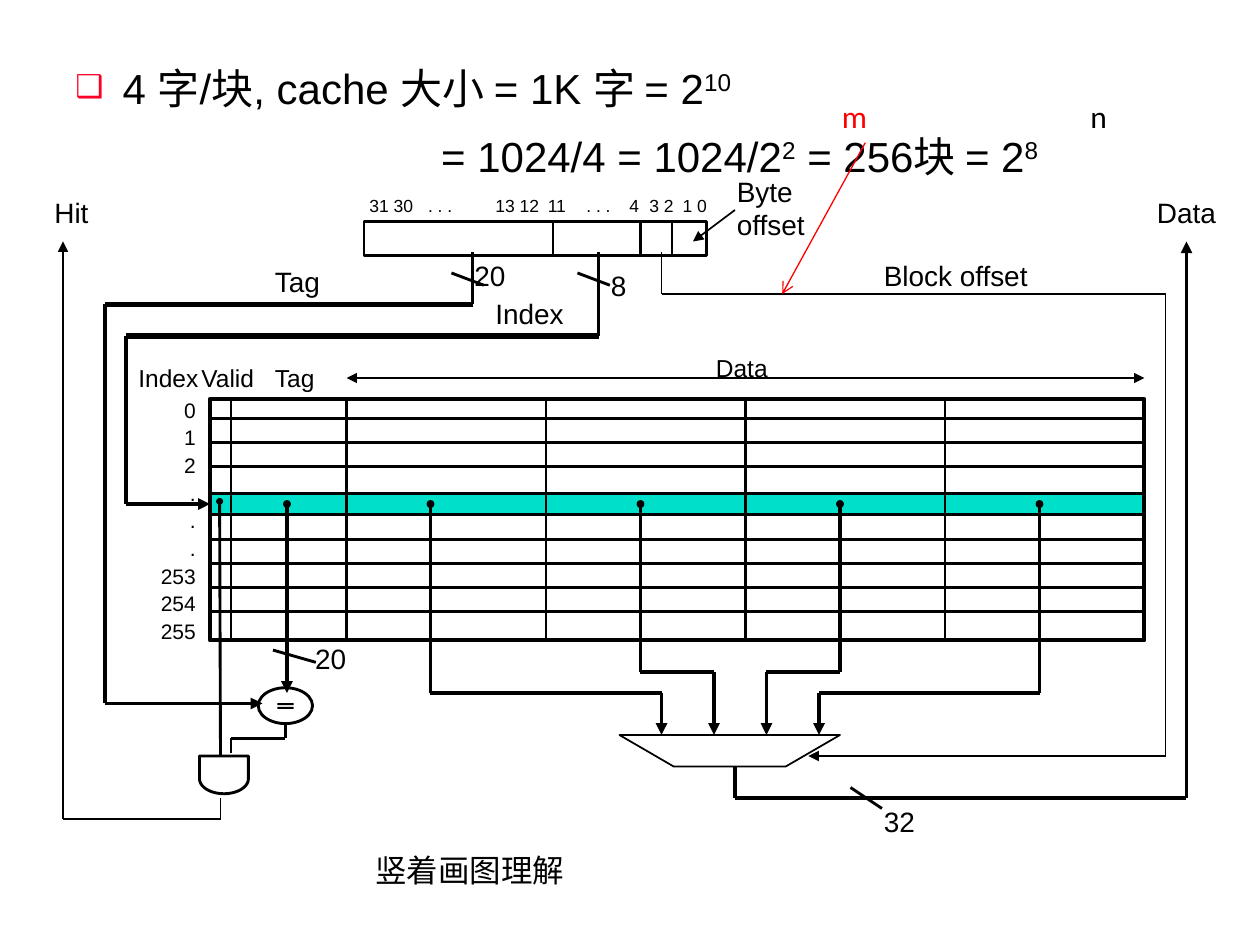
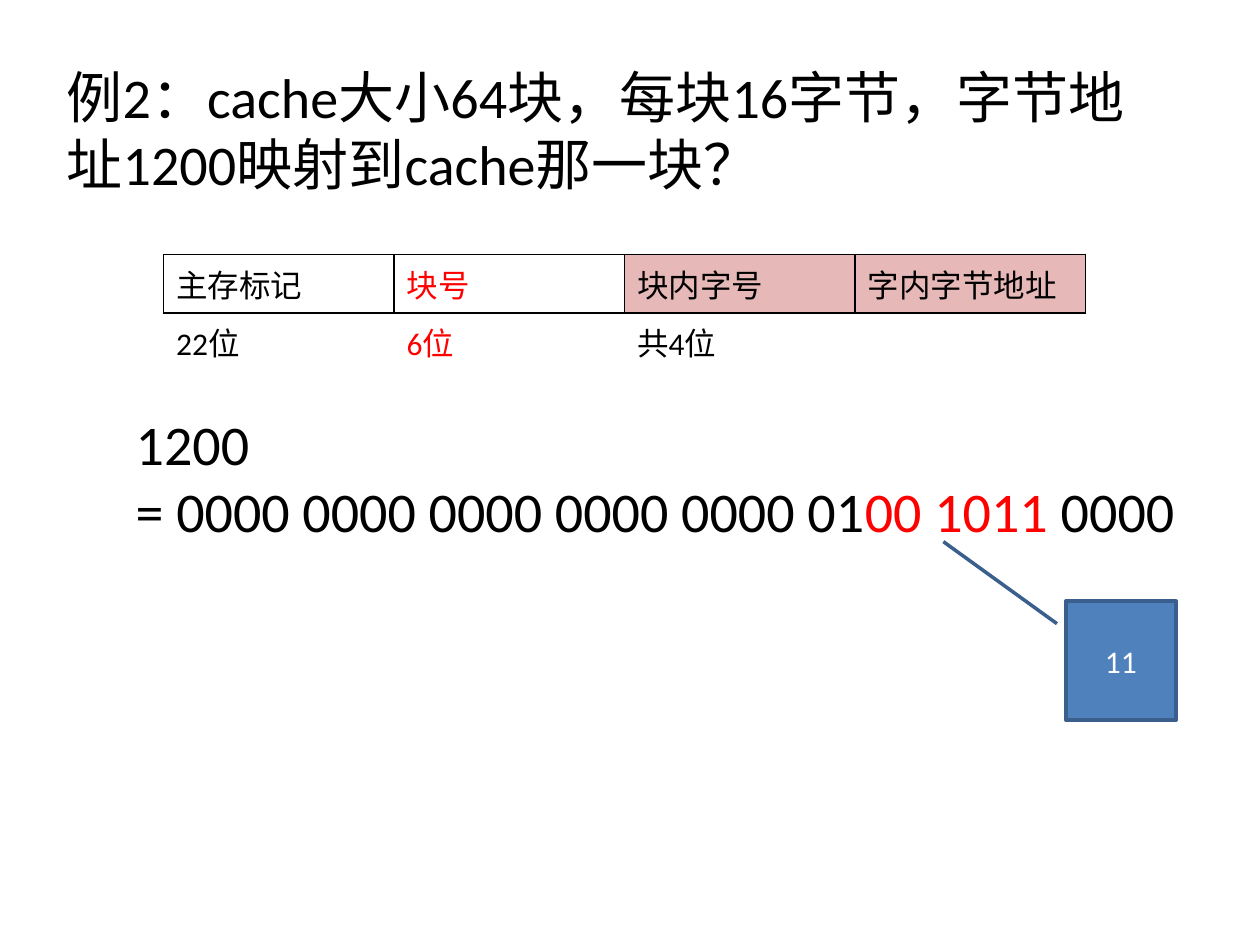
"""Build two slides on direct-mapped caches: lookup hardware and an address example."""
import math
from dataclasses import dataclass

from lxml import etree
from pptx import Presentation
from pptx import util as u
from pptx.dml.color import RGBColor
from pptx.enum import shapes, text
from pptx.oxml.ns import qn


@dataclass(frozen=True)
class Theme:
    ink: str = "000000"
    red: str = "FF0000"
    bullet: str = "FC0128"
    selected: str = "00DFCA"
    pink: str = "E6B9B8"
    blue: str = "4F81BD"
    navy: str = "3A5F8C"
    white: str = "FFFFFF"
    diagram_font: str = "Arial"
    body_font: str = "Calibri"
    headline: int = 32
    formula: int = 24
    body: int = 18
    label: int = 16
    column: int = 14
    row: int = 12
    bits: int = 10
    hair: float = 0.75
    thin: float = 1
    grid: float = 1.63
    bus: float = 2.25
    thick: float = 3


theme = Theme()


def write(slide, box, lines, size, font=theme.diagram_font, wrap=True):
    frame = slide.shapes.add_textbox(*map(u.Pt, box)).text_frame
    frame.word_wrap = wrap
    frame.auto_size = text.MSO_AUTO_SIZE.SHAPE_TO_FIT_TEXT
    for number, pieces in enumerate(lines):
        paragraph = frame.add_paragraph() if number else frame.paragraphs[0]
        for words, color, *raised in pieces:
            run = paragraph.add_run()
            run.text = words
            run.font.size = u.Pt(size)
            run.font.name = font
            run.font.color.rgb = RGBColor.from_string(color)
            if raised:
                run.font._element.set("baseline", "30000")
    return frame


def wire(slide, points, width, head=None, tail=None, color=theme.ink):
    last = len(points) - 2
    for number, (start, end) in enumerate(zip(points, points[1:])):
        segment = slide.shapes.add_connector(
            shapes.MSO_CONNECTOR.STRAIGHT, *map(u.Pt, (*start, *end)))
        segment.line.width = u.Pt(width)
        segment.line.color.rgb = RGBColor.from_string(color)
        etree.SubElement(segment._element.spPr, qn("a:effectLst"))
        stroke = segment.line._get_or_add_ln()
        if head and number == 0:
            extent = "sm" if head == "oval" else "med"
            etree.SubElement(stroke, qn("a:headEnd"), type=head, w=extent, len=extent)
        if tail and number == last:
            etree.SubElement(stroke, qn("a:tailEnd"), type=tail)
    return segment


deck = Presentation()
deck.slide_width, deck.slide_height = u.Pt(720), u.Pt(540)
blank = deck.slide_layouts[6]
lookup = deck.slides.add_slide(blank)
example = deck.slides.add_slide(blank)
ink = RGBColor.from_string(theme.ink)

kinds = shapes.MSO_SHAPE
outlines = []
for kind, box, fill, width in [
    (kinds.RECTANGLE, (120, 282, 534, 12), theme.selected, theme.grid),
    (kinds.RECTANGLE, (120, 228, 534, 138), None, theme.bus),
    (kinds.RECTANGLE, (208, 126.8, 196, 19.2), None, theme.grid),
    (kinds.OVAL, (147.6, 393, 31, 20.5), None, theme.grid),
    (kinds.RECTANGLE, (158.5, 401.8, 9.3, 1.2), theme.ink, 0),
    (kinds.RECTANGLE, (158.5, 404, 9.3, 1.2), theme.ink, 0),
]:
    outline = lookup.shapes.add_shape(kind, *map(u.Pt, box))
    outline.shadow.inherit = False
    if fill:
        outline.fill.solid()
        outline.fill.fore_color.rgb = RGBColor.from_string(fill)
    else:
        outline.fill.background()
    if width:
        outline.line.color.rgb = ink
        outline.line.width = u.Pt(width)
    else:
        outline.line.fill.background()
    outlines.append(outline)
selected_row = outlines[0]

arc = [(128 + 14 * math.cos(math.pi * step / 20),
        445 + 8.6 * math.sin(math.pi * step / 20)) for step in range(21)]
and_gate = [(114, 432), (142, 432)] + arc
multiplexer = [(354, 420), (385, 438), (449, 438), (480, 420)]
for corners, width in [(and_gate, theme.grid), (multiplexer, theme.thin)]:
    corners = [(u.Pt(x), u.Pt(y)) for x, y in corners]
    builder = lookup.shapes.build_freeform(*corners[0])
    builder.add_line_segments(corners[1:], close=True)
    gate = builder.convert_to_shape()
    gate.shadow.inherit = False
    gate.fill.background()
    gate.line.color.rgb = ink
    gate.line.width = u.Pt(width)

for first_rule, count in [(239, 3), (308.2, 4)]:
    for step in range(count):
        y = first_rule + 13.7 * step
        wire(lookup, [(120, y), (654, y)], theme.grid)
for x in [132] + [198 + 114 * word for word in range(4)]:
    wire(lookup, [(x, 228), (x, 366)], theme.grid)
for x in (316, 366, 384):
    wire(lookup, [(x, 126), (x, 145)], theme.grid)
for x, y, dx, dy in [(330, 156, 18.5, 7), (258, 156, 18.5, 7),
                     (156, 371.5, 24.5, 7), (486, 450, 18, 12)]:
    wire(lookup, [(x, y), (x + dx, y + dy)], theme.grid)

for word_x, bend_y, input_x in [(246, 396, 378), (366, 384, 408),
                                (480, 384, 438), (594, 396, 468)]:
    wire(lookup, [(word_x, 288), (word_x, bend_y), (input_x, bend_y), (input_x, 420)],
         theme.bus, "oval", "triangle")

for points, width, head, tail in [
    ([(342, 144), (342, 192)], theme.bus, None, None),
    ([(342, 192), (72, 192)], theme.thick, None, None),
    ([(270, 144), (270, 174)], theme.bus, None, None),
    ([(270, 174), (60, 174)], theme.thick, None, None),
    ([(60, 174), (60, 402), (150, 402)], theme.bus, None, "triangle"),
    ([(164, 288), (164, 396)], theme.bus, "oval", "triangle"),
    ([(125.5, 286.5), (126, 432)], theme.grid, "oval", None),
    ([(163, 413.5), (163, 422), (132, 422), (132, 430.5)], theme.grid, None, None),
    ([(126, 456), (126, 468), (36, 468), (36, 138)], theme.thin, None, "triangle"),
    ([(378, 144), (378, 168), (666, 168), (666, 432), (462, 432)],
     theme.thin, None, "triangle"),
    ([(420, 438), (420, 456), (678, 456), (678, 138)], theme.bus, None, "triangle"),
    ([(420, 120), (396, 138)], theme.thin, None, "triangle"),
    ([(198, 216), (654, 216)], theme.thin, "triangle", "triangle"),
]:
    wire(lookup, points, width, head, tail)
index_wire = wire(lookup, [(72, 192), (72, 288), (120, 288)], theme.bus, tail="triangle")
index_wire.end_connect(selected_row, 1)

for words, x, y, width, size in [
    ("8", 342, 150, 24, theme.label),
    ("Index", 276, 166, 54, theme.label),
    ("20", 173, 363, 32.5, theme.label),
    ("20", 264, 144, 32.5, theme.label),
    ("Tag", 150, 147.5, 42, theme.label),
    ("Hit", 24, 108, 34, theme.label),
    ("Data", 654, 108, 48.5, theme.label),
    ("32", 498, 456, 32.5, theme.label),
    ("Block offset", 498, 144, 97, theme.label),
    ("Data", 402, 198, 44, theme.column),
    ("Index", 72, 204, 49, theme.column),
    ("Valid", 108, 204, 45, theme.column),
    ("Tag", 150, 204, 38, theme.column),
]:
    write(lookup, (x, y, width, size * 1.2 + 7.4), [[(words, theme.ink)]], size, wrap=False)
write(lookup, (414, 96, 66, 46), [[("Byte offset", theme.ink)]], theme.label)

rows = ["0", "1", "2", ".", ".", ".", "253", "254", "255"]
row_numbers = write(lookup, (84.5, 222, 34.5, 150.5), [[(row, theme.ink)] for row in rows],
                    theme.row, wrap=False)
for paragraph in row_numbers.paragraphs:
    paragraph.alignment = text.PP_ALIGN.RIGHT
    paragraph.line_spacing = 1.1

bit_marks = "\t".join(["31 30", ". . .", "13 12", "11", ". . .", "4", "3 2", "1 0"])
bit_numbers = write(lookup, (204, 108, 241, 19.5), [[(bit_marks, theme.ink)]], theme.bits)
stops = etree.SubElement(bit_numbers.paragraphs[0]._p.get_or_add_pPr(), qn("a:tabLst"))
for stop in (33.5, 72, 102, 124, 148.5, 160, 179):
    etree.SubElement(stops, qn("a:tab"), pos=str(u.Pt(stop)), algn="l")

formula = write(lookup, (36, 37.5, 636, 96), [
    [("4 字/块, cache 大小 = 1K 字 = 2", theme.ink), ("10", theme.ink, True)],
    [("= 1024/4 = 1024/2", theme.ink), ("2", theme.ink, True),
     (" = 256块 = 2", theme.ink), ("8", theme.ink, True)],
], theme.formula)
for paragraph, margin, indent in zip(formula.paragraphs, (27, 209), (-27, 0)):
    paragraph.line_spacing = 0.8
    layout = paragraph._p.get_or_add_pPr()
    layout.set("marL", str(u.Pt(margin)))
    layout.set("indent", str(u.Pt(indent)))
formula.paragraphs[1].space_before = u.Pt(16)
layout = formula.paragraphs[0]._p.pPr
bullet_color = etree.SubElement(layout, qn("a:buClr"))
etree.SubElement(bullet_color, qn("a:srgbClr"), val=theme.bullet)
etree.SubElement(layout, qn("a:buSzPct"), val="75000")
etree.SubElement(layout, qn("a:buFont"), typeface=theme.diagram_font)
etree.SubElement(layout, qn("a:buChar"), char="❑")

for words, box, color in [("m", (474, 52, 42, 29), theme.red),
                          ("n", (616, 52, 42, 29), theme.ink),
                          ("竖着画图理解", (207.5, 482.5, 219, 29), theme.ink)]:
    write(lookup, box, [[(words, color)]], theme.body, theme.body_font)
wire(lookup, [(494.5, 81.5), (447, 168)], theme.hair, tail="arrow", color=theme.red)

write(example, (31, 32, 645, 85),
      [[("例2：cache大小64块，每块16字节，字节地址1200映射到cache那一块？", theme.ink)]],
      theme.headline, theme.body_font)

fields = [("主存标记", "22位", theme.ink, None), ("块号", "6位", theme.red, None),
          ("块内字号", "共4位", theme.ink, theme.pink),
          ("字内字节地址", "", theme.ink, theme.pink)]
address = example.shapes.add_table(
    2, len(fields), *map(u.Pt, (93.5, 145.5, 527, 66.6))).table
address.first_row = address.horz_banding = False
address._tbl.tblPr.find(qn("a:tableStyleId")).text = "{2D5ABB26-0587-4C30-8999-92F81FD0307C}"
for column, (name, bits, color, fill) in enumerate(fields):
    for row, words in enumerate((name, bits)):
        cell = address.cell(row, column)
        for side in ("lnT",) if row else ("lnL", "lnR", "lnT", "lnB"):
            border = etree.SubElement(cell._tc.get_or_add_tcPr(), qn(f"a:{side}"),
                                      w=str(u.Pt(theme.thin)))
            paint = etree.SubElement(border, qn("a:solidFill"))
            etree.SubElement(paint, qn("a:srgbClr"), val=theme.ink)
        if fill and row == 0:
            cell.fill.solid()
            cell.fill.fore_color.rgb = RGBColor.from_string(fill)
        else:
            cell.fill.background()
        if words:
            run = cell.text_frame.paragraphs[0].add_run()
            run.text = words
            run.font.size = u.Pt(theme.body)
            run.font.name = theme.body_font
            run.font.color.rgb = RGBColor.from_string(color)

write(example, (70.5, 230.5, 629, 85), [
    [("1200", theme.ink)],
    [("= 0000 0000 0000 0000 0000 01", theme.ink), ("00 1011", theme.red),
     (" 0000", theme.ink)],
], theme.headline, theme.body_font)

block = example.shapes.add_shape(kinds.LINE_CALLOUT_1, *map(u.Pt, (609, 343.5, 63, 68)))
block.shadow.inherit = False
for number, ratio in enumerate((0.19, -0.08, -0.5, -1.11)):
    block.adjustments[number] = ratio
block.fill.solid()
block.fill.fore_color.rgb = RGBColor.from_string(theme.blue)
block.line.color.rgb = RGBColor.from_string(theme.navy)
block.line.width = u.Pt(2)
block.text_frame.vertical_anchor = text.MSO_ANCHOR.MIDDLE
paragraph = block.text_frame.paragraphs[0]
paragraph.alignment = text.PP_ALIGN.CENTER
run = paragraph.add_run()
run.text = "11"
run.font.size = u.Pt(theme.body)
run.font.name = theme.body_font
run.font.color.rgb = RGBColor.from_string(theme.white)

deck.save("out.pptx")
